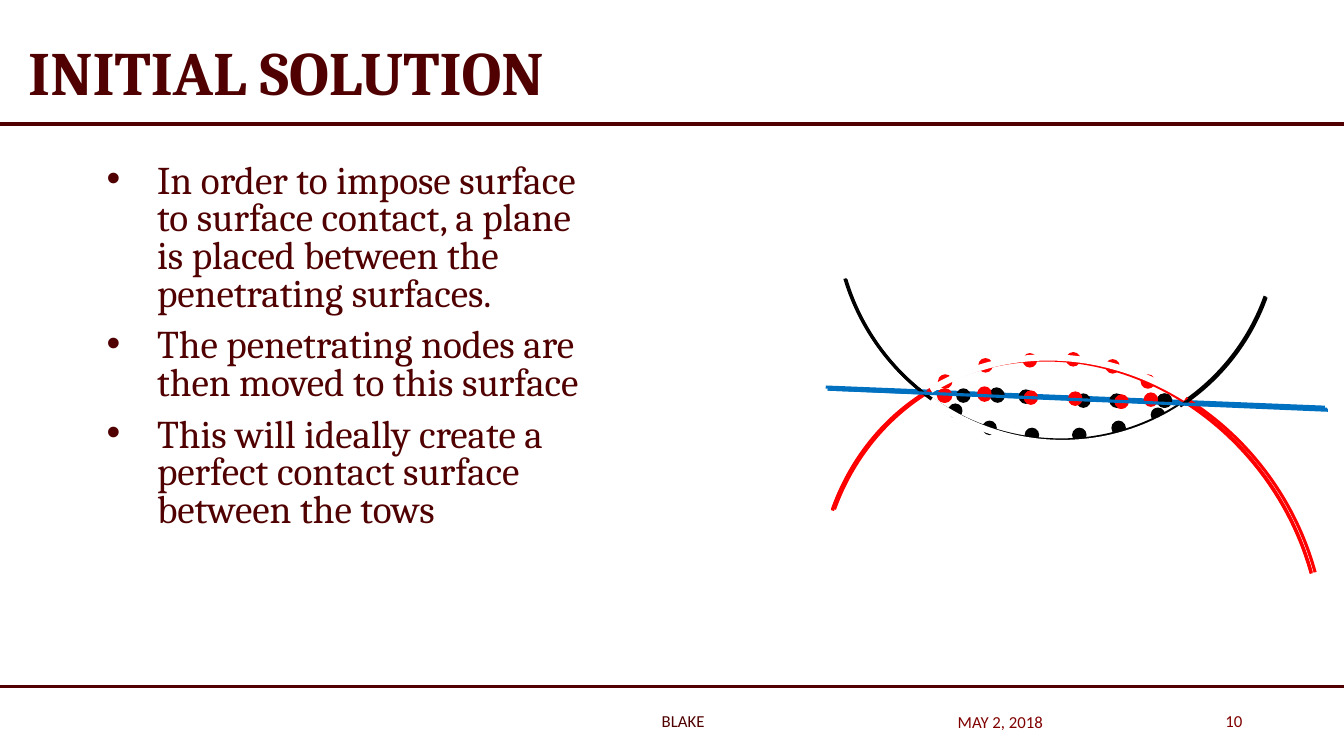
import pptx
import pptx.util
import pptx.dml.color
import pptx.enum.shapes
import pptx.enum.text
import pptx.oxml.ns
from dataclasses import dataclass
from lxml import etree

Inches = pptx.util.Inches
Pt = pptx.util.Pt
PP_ALIGN = pptx.enum.text.PP_ALIGN
MSO_ANCHOR = pptx.enum.text.MSO_ANCHOR
MSO_SHAPE = pptx.enum.shapes.MSO_SHAPE
qn = pptx.oxml.ns.qn


@dataclass(frozen=True)
class Theme:
    maroon: str = "500000"
    footer: str = "800000"
    red: str = "FF0000"
    black: str = "000000"
    blue: str = "0070C0"
    white: str = "FFFFFF"
    serif: str = "Cambria"
    sans: str = "Calibri"
    title_size: int = 44
    body_size: int = 28
    footer_size: int = 12


THEME = Theme()
DOT = 0.13
TOW = (143.307, 13.299)

BULLETS = [
    "In order to impose surface to surface contact, a plane is placed between the penetrating surfaces.",
    "The penetrating nodes are then moved to this surface",
    "This will ideally create a perfect contact surface between the tows",
]

PENETRATING = {
    "arcs": [
        (8.2, 3.48, 4.82, 5.37, 326.4, TOW, THEME.red, 2.25),
        (8.3, -0.06, 4.36, 4.44, 141.8, TOW, THEME.black, 2.25),
    ],
    "black": [(9.41, 4.01), (9.75, 4.18), (10.17, 4.25), (10.64, 4.25), (11.03, 4.18), (11.42, 4.05)],
    "red": [(9.71, 3.56), (9.31, 3.72), (10.97, 3.57), (10.58, 3.5), (10.15, 3.51), (11.32, 3.72)],
    "plane": (8.19, 3.84, 13.14, 4.04),
    "masks": [],
}
MOVING = {
    "arcs": [(8.2, 3.49, 4.82, 5.37, 326.4, TOW, THEME.red, 2.25)],
    "black": [(9.82, 3.85), (11.48, 3.91)],
    "red": [(9.7, 3.84), (9.3, 3.86), (11.05, 3.92)],
    "plane": (8.21, 3.86, 13.16, 4.06),
    "masks": [],
}
IN_CONTACT = {
    "arcs": [
        (8.21, 3.48, 4.85, 5.37, 326.4, TOW, THEME.red, 2.25),
        (8.31, -0.05, 4.36, 4.44, 141.8, TOW, THEME.black, 2.25),
    ],
    "black": [(9.49, 3.86), (9.83, 3.86), (10.11, 3.87), (10.68, 3.91), (11.01, 3.91), (11.49, 3.91)],
    "red": [(9.7, 3.85), (9.31, 3.86), (11.06, 3.92), (10.6, 3.89), (10.16, 3.88), (11.35, 3.9)],
    "plane": (8.21, 3.86, 13.17, 4.07),
    "masks": [
        (8.23, 3.47, 4.82, 5.37, 327.5, (162.513, 197.642), THEME.white, 4.5),
        (8.32, -0.03, 4.36, 4.44, 141.8, (165.017, 206.181), THEME.white, 4.5),
    ],
}


def rgb(color):
    return pptx.dml.color.RGBColor.from_string(color)


def style(p, font, size, color, bold=False):
    for r in p.runs:
        r.font.name = font
        r.font.size = Pt(size)
        r.font.bold = bold
        r.font.color.rgb = rgb(color)


def add_line(shapes, x1, y1, x2, y2, color, width):
    line = shapes.add_connector(pptx.enum.shapes.MSO_CONNECTOR.STRAIGHT,
                                Inches(x1), Inches(y1), Inches(x2), Inches(y2))
    line.line.color.rgb = rgb(color)
    line.line.width = Pt(width)
    etree.SubElement(line._element.spPr, qn("a:effectLst"))


def add_arc(shapes, x, y, w, h, rotation, angles, color, width):
    arc = shapes.add_shape(MSO_SHAPE.ARC, Inches(x), Inches(y), Inches(w), Inches(h))
    arc.shadow.inherit = False
    arc.rotation = rotation
    arc.adjustments[0], arc.adjustments[1] = angles
    arc.fill.background()
    arc.line.color.rgb = rgb(color)
    arc.line.width = Pt(width)


def add_node(shapes, x, y, color):
    node = shapes.add_shape(MSO_SHAPE.OVAL, Inches(x), Inches(y), Inches(DOT), Inches(DOT))
    node.shadow.inherit = False
    node.fill.solid()
    node.fill.fore_color.rgb = rgb(color)
    node.line.color.rgb = rgb(color)
    node.line.width = Pt(1)


def add_stage(s, stage):
    shapes = s.shapes.add_group_shape().shapes
    for arc in stage["arcs"]:
        add_arc(shapes, *arc)
    for name, color in (("black", THEME.black), ("red", THEME.red)):
        for x, y in stage[name]:
            add_node(shapes, x, y, color)
    add_line(shapes, *stage["plane"], THEME.blue, 2.25)
    for mask in stage["masks"]:
        add_arc(shapes, *mask)


def set_title(s, text):
    title = s.shapes.title
    title.left, title.top = Inches(0.18), Inches(-0.06)
    title.width, title.height = Inches(10.5), Inches(1.62)
    tf = title.text_frame
    tf.text = text
    tf.vertical_anchor = MSO_ANCHOR.MIDDLE
    p = tf.paragraphs[0]
    p.alignment = PP_ALIGN.LEFT
    p.line_spacing = 0.9
    style(p, THEME.serif, THEME.title_size, THEME.maroon, True)


def add_bullets(s, items):
    tf = s.shapes.add_textbox(Inches(0.96), Inches(1.58), Inches(5), Inches(4.64)).text_frame
    tf.word_wrap = True
    for i, item in enumerate(items):
        p = tf.add_paragraph() if i else tf.paragraphs[0]
        p.text = item
        pPr = p._p.get_or_add_pPr()
        pPr.set("marL", str(Inches(0.5)))
        pPr.set("indent", str(Inches(-0.5)))
        etree.SubElement(pPr, qn("a:buFont")).set("typeface", "Arial")
        etree.SubElement(pPr, qn("a:buChar")).set("char", "•")
        p.line_spacing = 0.8
        p.space_before = Pt(10 if i else 0)
        style(p, THEME.serif, THEME.body_size, THEME.maroon)


def add_footer(s, x, y, w, text, align, color):
    tf = s.shapes.add_textbox(Inches(x), Inches(y), Inches(w), Inches(0.4)).text_frame
    tf.word_wrap = True
    tf.vertical_anchor = MSO_ANCHOR.MIDDLE
    tf.text = text
    p = tf.paragraphs[0]
    p.alignment = align
    style(p, THEME.sans, THEME.footer_size, color)


def main():
    prs = pptx.Presentation()
    prs.slide_width, prs.slide_height = Inches(13.33), Inches(7.5)
    s = prs.slides.add_slide(prs.slide_layouts[5])
    add_line(s.shapes, 0, 1.23, 13.33, 1.23, THEME.maroon, 2.5)
    add_line(s.shapes, 0, 6.81, 13.33, 6.81, THEME.maroon, 2)
    set_title(s, "INITIAL SOLUTION")
    add_bullets(s, BULLETS)
    for stage in (PENETRATING, MOVING, IN_CONTACT):
        add_stage(s, stage)
    add_footer(s, 9.4, 6.96, 1.55, "MAY 2, 2018", PP_ALIGN.LEFT, THEME.footer)
    add_footer(s, 4.42, 6.95, 4.71, "BLAKE", PP_ALIGN.CENTER, THEME.maroon)
    add_footer(s, 11.23, 6.95, 1.19, "10", PP_ALIGN.RIGHT, THEME.footer)
    prs.save("out.pptx")


if __name__ == "__main__":
    main()
